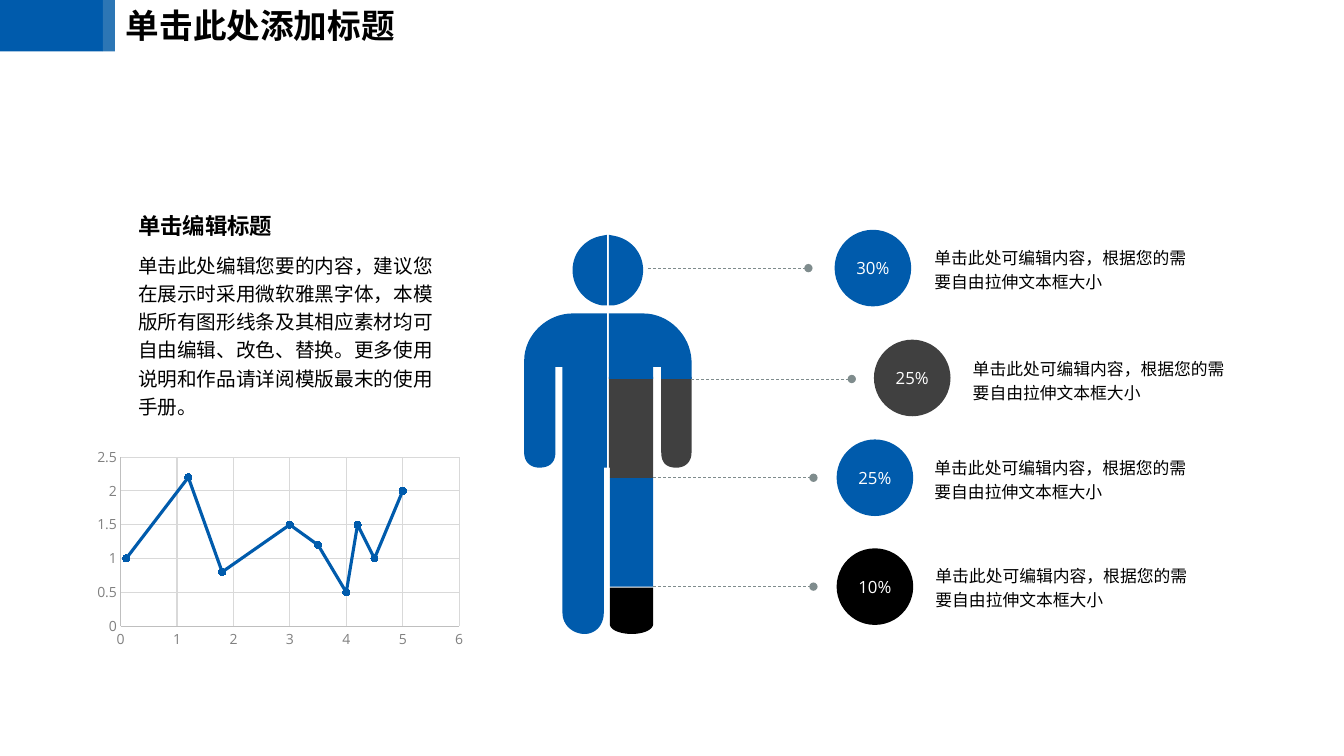
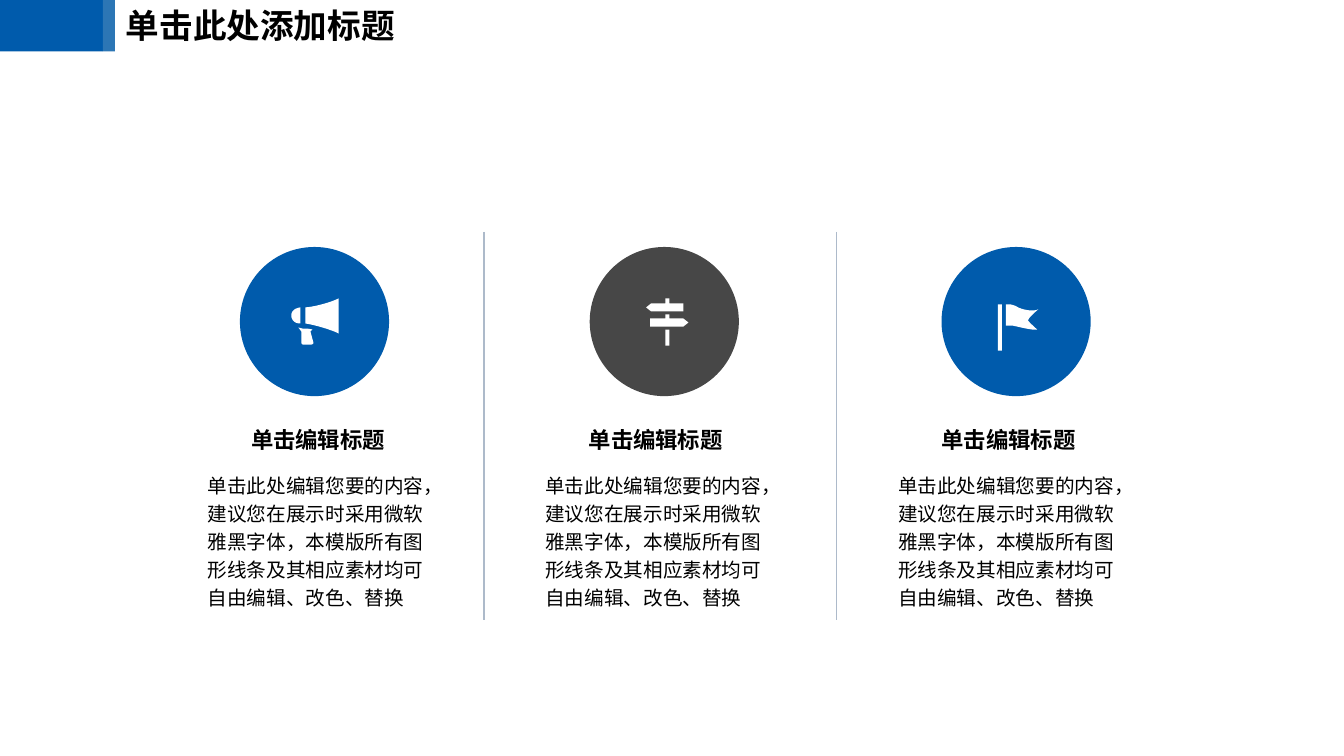
"""Build two infographic slides: a body chart and a three-column overview."""
from dataclasses import dataclass

from lxml import etree
from pptx import Presentation, util as u
from pptx.chart import data as chart_data
from pptx.dml.color import RGBColor
from pptx.enum import chart as chart_enum, dml, shapes, text
from pptx.oxml.ns import qn


@dataclass(frozen=True)
class Theme:
    blue: str = "005BAC"
    band: str = "2C76B5"
    charcoal: str = "404040"
    slate: str = "474747"
    black: str = "000000"
    white: str = "FFFFFF"
    leader: str = "7F8C8D"
    divider: str = "ADBACA"
    axis_text: str = "808080"
    axis_line: str = "BFBFBF"
    grid_line: str = "D9D9D9"
    cjk: str = "Noto Sans CJK SC"
    latin: str = "Arial"
    figures: str = "Open Sans"
    chart_font: str = "Calibri"
    title: int = 24
    heading: int = 16
    body: int = 14
    note: int = 12
    axis: int = 10
    tight: float = 1.2
    loose: float = 1.44


THEME = Theme()
COLUMNS, ROWS = 133.33, 75
CELL = u.Inches(0.1)
CURVE_STEPS = 16
HEADING = "单击编辑标题"
NOTE = "单击此处可编辑内容，根据您的需要自由拉伸文本框大小"
SUMMARY = "单击此处编辑您要的内容，建议您在展示时采用微软雅黑字体，本模版所有图形线条及其相应素材均可自由编辑、改色、替换"
DETAIL = SUMMARY + "。更多使用说明和作品请详阅模版最末的使用手册。"


def cells(*values):
    return [round(value * CELL) for value in values]


def rgb(color):
    return RGBColor.from_string(color)


def flatten(contour):
    points = []
    for step in contour:
        if len(step) == 2:
            points.append(step)
            continue
        corners = [points[-1], step[:2], step[2:4], step[4:]]
        for index in range(1, CURVE_STEPS + 1):
            t = index / CURVE_STEPS
            weights = ((1 - t) ** 3, 3 * t * (1 - t) ** 2, 3 * t * t * (1 - t), t ** 3)
            points.append(tuple(sum(w * c[axis] for w, c in zip(weights, corners))
                                for axis in (0, 1)))
    return [tuple(cells(*point)) for point in points]


def mirror(contour, centre):
    return [tuple(2 * centre - value if index % 2 == 0 else value
                  for index, value in enumerate(step)) for step in contour]


class Deck:
    def __init__(self, theme):
        self.theme = theme
        self.presentation = Presentation()
        self.presentation.slide_width, self.presentation.slide_height = cells(COLUMNS, ROWS)
        self.slide = None

    def add_slide(self, title):
        theme = self.theme
        self.slide = self.presentation.slides.add_slide(self.presentation.slide_layouts[6])
        self.block(0, 0, 10.2, 5.1, theme.blue)
        self.block(10.2, 0, 1.2, 5.1, theme.band)
        self.words(12.5, 0.5, 28, 4, title, theme.title, theme.cjk, theme.tight, bold=True)

    def group(self):
        return self.slide.shapes.add_group_shape().shapes

    def paint(self, shape, color):
        shape.shadow.inherit = False
        shape.fill.solid()
        shape.fill.fore_color.rgb = rgb(color)
        shape.line.fill.background()
        return shape

    def block(self, left, top, width, height, color,
              kind=shapes.MSO_SHAPE.RECTANGLE, into=None):
        target = self.slide.shapes if into is None else into
        return self.paint(target.add_shape(kind, *cells(left, top, width, height)), color)

    def circle(self, left, top, size, color, label=None):
        shape = self.block(left, top, size, size, color, shapes.MSO_SHAPE.OVAL)
        if label:
            frame = shape.text_frame
            self.clear_margins(frame)
            frame.word_wrap = False
            frame.vertical_anchor = text.MSO_ANCHOR.MIDDLE
            paragraph = frame.paragraphs[0]
            paragraph.text = label
            paragraph.alignment = text.PP_ALIGN.CENTER
            self.style(paragraph.font, self.theme.note, self.theme.figures, self.theme.white)

    def outline(self, contours, color, into=None):
        target = self.slide.shapes if into is None else into
        first, *others = [flatten(contour) for contour in contours]
        builder = target.build_freeform(*first[0])
        builder.add_line_segments(first[1:])
        for points in others:
            builder.move_to(*points[0])
            builder.add_line_segments(points[1:])
        self.paint(builder.convert_to_shape(), color)

    def line(self, start, end, color, width, dotted=False):
        connector = self.slide.shapes.add_connector(
            shapes.MSO_CONNECTOR.STRAIGHT, *cells(*start, *end))
        connector.line.color.rgb = rgb(color)
        connector.line.width = u.Pt(width)
        properties = connector._element.spPr
        if dotted:
            connector.line.dash_style = dml.MSO_LINE.DASH
            etree.SubElement(properties.find(qn("a:ln")), qn("a:tailEnd"), type="oval")
        etree.SubElement(properties, qn("a:effectLst"))

    def clear_margins(self, frame):
        frame.margin_left = frame.margin_right = frame.margin_top = frame.margin_bottom = 0

    def style(self, font, size, name, color, bold=False):
        font.size, font.name, font.bold = u.Pt(size), name, bold
        font.color.rgb = rgb(color)

    def words(self, left, top, width, height, content, size, name, spacing, bold=False):
        frame = self.slide.shapes.add_textbox(*cells(left, top, width, height)).text_frame
        self.clear_margins(frame)
        frame.word_wrap = True
        paragraph = frame.paragraphs[0]
        paragraph.text = content
        paragraph.line_spacing = u.Pt(size * spacing)
        self.style(paragraph.font, size, name, self.theme.black, bold)
        etree.SubElement(paragraph._p.pPr.defRPr, qn("a:ea"), typeface=self.theme.cjk)

    def curve_chart(self, left, top, width, height, points):
        theme = self.theme
        data = chart_data.XyChartData()
        values = data.add_series("Series 1")
        for x, y in points:
            values.add_data_point(x, y)
        chart = self.slide.shapes.add_chart(
            chart_enum.XL_CHART_TYPE.XY_SCATTER_SMOOTH,
            *cells(left, top, width, height), data).chart
        chart.has_legend = chart.has_title = False
        self.style(chart.font, theme.axis, theme.chart_font, theme.black)
        chart.plots[0].vary_by_categories = False
        for axis in (chart.category_axis, chart.value_axis):
            axis.major_tick_mark = axis.minor_tick_mark = chart_enum.XL_TICK_MARK.NONE
            axis.has_major_gridlines = True
            self.style(axis.tick_labels.font, theme.axis, theme.figures, theme.axis_text)
            for stroke, color in ((axis.format.line, theme.axis_line),
                                  (axis.major_gridlines.format.line, theme.grid_line)):
                stroke.color.rgb = rgb(color)
                stroke.width = u.Pt(0.75)
        series = chart.plots[0].series[0]
        series.smooth = True
        series.format.line.color.rgb = rgb(theme.blue)
        series.format.line.width = u.Pt(2.25)
        marker = series.marker
        marker.style, marker.size = chart_enum.XL_MARKER_STYLE.CIRCLE, 5
        marker.format.fill.solid()
        marker.format.fill.fore_color.rgb = rgb(theme.blue)
        marker.format.line.color.rgb = rgb(theme.blue)


HALF_HEAD = [(60.2, 23.3), (60.2, 30.3), (59.7, 30.3),
             (58, 30, 56.8, 28.5, 56.8, 26.8), (56.8, 25.1, 58, 23.7, 59.7, 23.4)]
LEFT_BODY = [(60.2, 31.1), (56.8, 31.1), (54.3, 31.1, 52, 33.2, 52, 35.8), (52, 44.9),
             (52, 45.9, 52.7, 46.4, 53.5, 46.4), (54.5, 46.4, 55.1, 45.9, 55.1, 44.9),
             (55.1, 36.4), (55.8, 36.4), (55.8, 60.8),
             (55.8, 62, 56.8, 62.9, 58, 62.9), (59.1, 62.9, 59.9, 62, 59.9, 60.8),
             (59.9, 46.4), (60.2, 46.4)]
SHOULDER = [(60.4, 31.1), (63.8, 31.1), (66.3, 31.1, 68.5, 33.2, 68.6, 35.8),
            (68.6, 37.6), (65.6, 37.6), (65.6, 36.4), (64.8, 36.4), (64.8, 37.6), (60.4, 37.6)]
FOREARM = [(65.6, 37.4), (68.6, 37.4), (68.6, 44.9),
           (68.6, 45.9, 67.9, 46.4, 67.1, 46.4), (66.1, 46.4, 65.6, 45.9, 65.6, 44.9)]
WAIST = [(60.4, 37.4), (64.8, 37.4), (64.8, 47.4), (60.5, 47.4), (60.5, 46.4), (60.4, 46.4)]
FOOT = [(60.5, 58.3), (64.8, 58.3), (64.8, 61.9),
        (64.8, 62.5, 63.8, 62.9, 62.7, 62.9), (61.5, 62.9, 60.5, 62.5, 60.5, 61.9)]
MEGAPHONE = [
    [(29.6, 32.5), (29.9, 32.9), (29.9, 34), (29.9, 34.1, 30, 34.2, 30.1, 34.2), (30.8, 34.2),
     (31, 34.2, 31.1, 34.1, 31.1, 34), (30.8, 32.9), (31, 32.7),
     (30.6, 32.6, 30.3, 32.6, 30, 32.6)],
    [(30.3, 32.1), (31.6, 32.3, 33.3, 32.9, 33.6, 33.1), (33.6, 29.6),
     (33.3, 29.8, 31.6, 30.4, 30.3, 30.5)],
    [(29.8, 32.1), (29.8, 30.5), (29.1, 30.6, 28.9, 31, 28.9, 31.3),
     (28.9, 31.6, 29.1, 32.1, 29.8, 32.1)]]
SIGNPOST = [
    [(66, 30.1), (64.6, 30.1), (64.1, 30.5), (64.6, 30.9), (67.8, 30.9), (67.8, 30.1),
     (66.4, 30.1), (66.4, 29.6), (66, 29.6)],
    [(66, 31.6), (64.5, 31.6), (64.5, 32.4), (67.8, 32.4), (68.3, 32), (67.8, 31.6),
     (66.4, 31.6), (66.4, 31.2), (66, 31.2)]]
FLAG = [[(102, 31.8), (102, 31.5, 103, 30.7, 103, 30.7), (102.5, 30.9, 101.7, 30.8, 101, 30.5),
         (100.4, 30.1, 99.8, 30.2, 99.8, 30.2), (99.8, 32.3), (100, 32.3, 100, 32.3, 100.4, 32.3),
         (101, 32.4, 102.4, 32.8, 102.9, 32.7), (102.9, 32.7, 102, 31.9, 102, 31.8)]]


def body_slide(deck):
    theme = deck.theme
    deck.add_slide("单击此处添加标题")
    deck.outline([FOOT], theme.black)
    deck.outline([LEFT_BODY, HALF_HEAD], theme.blue)
    deck.block(60.5, 47.4, 4.3, 10.8, theme.blue)
    deck.outline([FOREARM, WAIST], theme.charcoal)
    deck.outline([SHOULDER, mirror(HALF_HEAD, 60.3)], theme.blue)
    for label, color, line_left, line_top, left, top, note_left, note_top in (
            ("30%", theme.blue, 64.3, 26.6, 82.8, 22.8, 92.7, 24.2),
            ("25%", theme.charcoal, 68.6, 37.6, 86.7, 33.7, 96.5, 35.2),
            ("25%", theme.blue, 64.8, 47.4, 83, 43.6, 92.7, 45),
            ("10%", theme.black, 64.8, 58.2, 83, 54.4, 92.8, 55.7)):
        deck.line((line_left, line_top), (line_left + 15.9, line_top),
                  theme.leader, 0.5, dotted=True)
        deck.circle(left, top, 7.6, color, label)
        deck.words(note_left, note_top, 25.5, 4.8, NOTE, theme.note, theme.latin, theme.loose)
    deck.curve_chart(8.9, 44, 37.8, 20.8, (
        (0.1, 1), (1.2, 2.2), (1.8, 0.8), (3, 1.5), (3.5, 1.2),
        (4, 0.5), (4.2, 1.5), (4.5, 1), (5, 2)))
    deck.words(13.7, 20.5, 14.2, 3.2, HEADING, theme.heading, theme.latin, theme.loose, bold=True)
    deck.words(13.7, 24.7, 31.1, 17, DETAIL, theme.body, theme.cjk, theme.loose)


def columns_slide(deck):
    theme = deck.theme
    deck.add_slide("单击此处添加标题")
    for left in (48, 83):
        deck.line((left, 23), (left, 61.5), theme.divider, 1)
    for left, circle_left, color, icon, pole in (
            (20.6, 23.8, theme.blue, MEGAPHONE, None),
            (54.1, 58.5, theme.slate, SIGNPOST, (66, 32.7, 0.4, 1.6)),
            (89.1, 93.4, theme.blue, FLAG, (99, 30.2, 0.4, 4.6))):
        deck.circle(circle_left, 24.5, 14.8, color)
        group = deck.group()
        deck.outline(icon, theme.white, group)
        if pole:
            deck.block(*pole, theme.white, into=group)
        deck.words(left + 4.3, 42.3, 14.2, 2.7, HEADING, theme.heading, theme.latin,
                   theme.tight, bold=True)
        deck.words(left, 46.5, 22.7, 14.1, SUMMARY, theme.body, theme.latin, theme.loose)


def main():
    deck = Deck(THEME)
    body_slide(deck)
    columns_slide(deck)
    deck.presentation.save("out.pptx")


if __name__ == "__main__":
    main()
